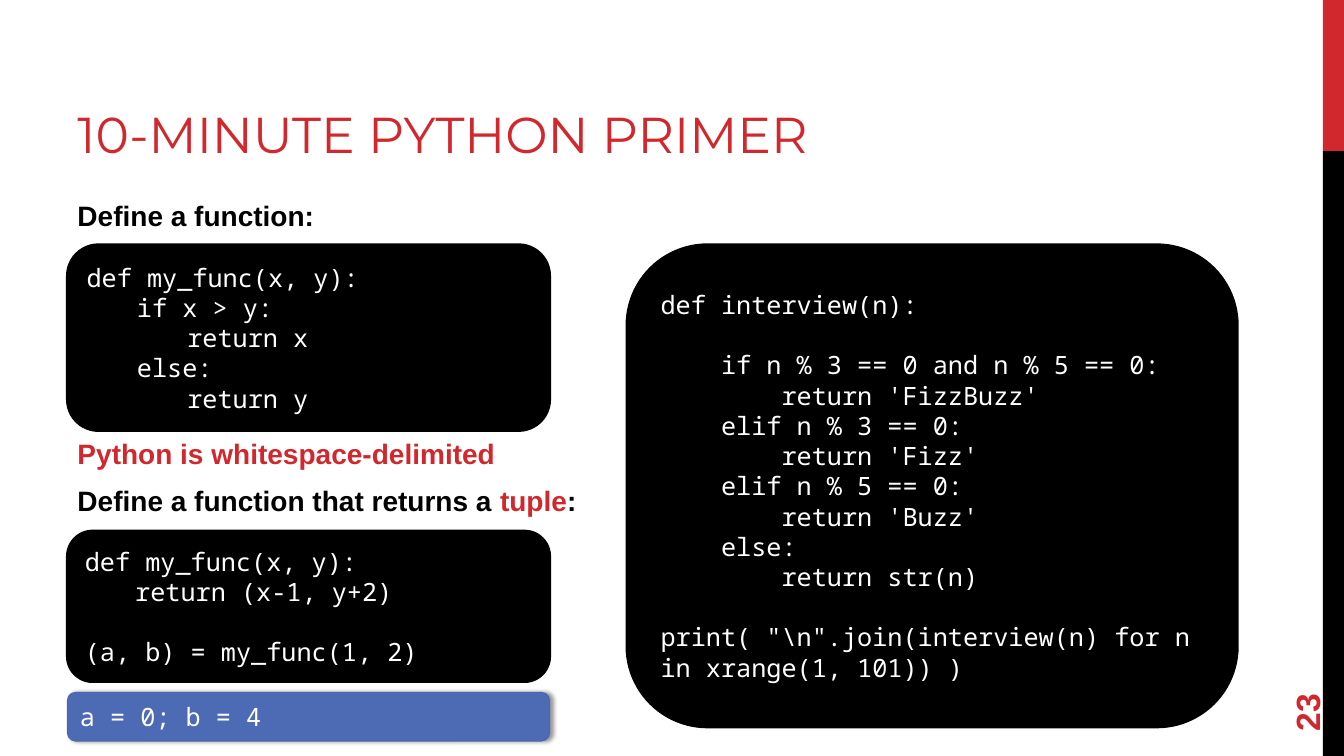
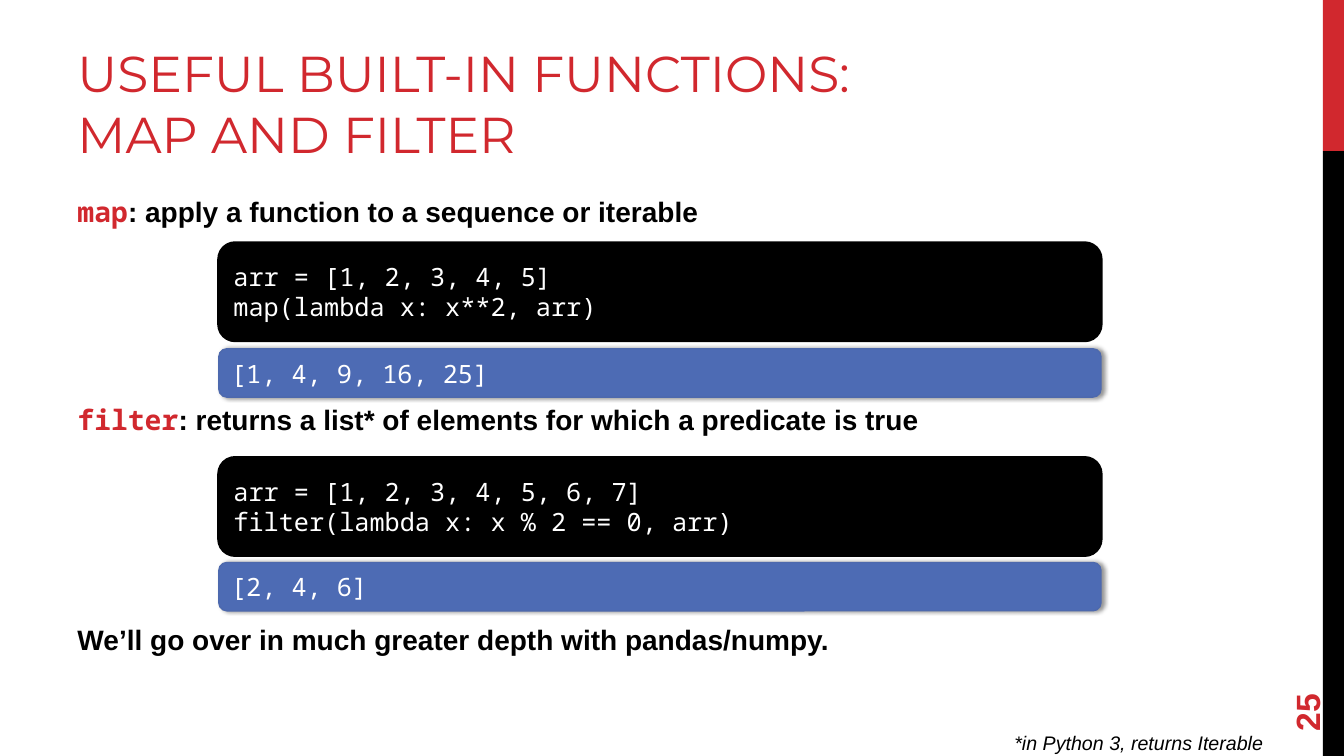
"""Build two Python primer slides with code panels and their output."""
import pptx
import pptx.dml.color
import pptx.enum.shapes
import pptx.enum.text
import pptx.util
from lxml import etree

Pt = pptx.util.Pt
RGBColor = pptx.dml.color.RGBColor
SHAPES = pptx.enum.shapes.MSO_SHAPE
ALIGN = pptx.enum.text.PP_ALIGN
ANCHOR = pptx.enum.text.MSO_ANCHOR

RED = RGBColor(0xD1, 0x28, 0x2E)
BLACK = RGBColor(0, 0, 0)
WHITE = RGBColor(0xFF, 0xFF, 0xFF)
BLUE = RGBColor(0x4D, 0x6B, 0xB4)
BLUE_EDGE = RGBColor(0x4D, 0x69, 0xAD)
SANS, MONO, DISPLAY = "Arial", "Noto Sans Mono", "Montserrat"

EMU_PER_PX = 9144
SLIDE_WIDTH, SLIDE_HEIGHT = 1333, 750
MARGIN, BODY_WIDTH = 67, 1111
BAND_WIDTH, BAND_SPLIT = 21, 150
HEADING_HEIGHT, OUTPUT_HEIGHT = 42, 48
CODE_LINE = 21.5
DRAWING_NS = "http://schemas.openxmlformats.org/drawingml/2006/main"

SLIDES = [
    {
        "title": "10-MINUTE PYTHON PRIMER",
        "number": "23",
        "heading_spacing": 1.0,
        "headings": [
            (192, [("Define a function:", SANS, BLACK)]),
            (428, [("Python is whitespace-delimited", SANS, RED)]),
            (475, [("Define a function that returns a ", SANS, BLACK),
                   ("tuple", SANS, RED), (":", SANS, BLACK)]),
        ],
        "code": [
            ((67, 243, 478, 184), ["def my_func(x, y):", "\tif x > y:", "\t\treturn x",
                                   "\telse:", "\t\treturn y"]),
            ((67, 527, 478, 149), ["def my_func(x, y):", "\treturn (x-1, y+2)", "",
                                   "(a, b) = my_func(1, 2)"]),
            ((622, 243, 605, 478), [
                "def interview(n):",
                "",
                "    if n % 3 == 0 and n % 5 == 0:",
                "        return 'FizzBuzz'",
                "    elif n % 3 == 0:",
                "        return 'Fizz'",
                "    elif n % 5 == 0:",
                "        return 'Buzz'",
                "    else:",
                "        return str(n)",
                "",
                "print( \"\\n\".join(interview(n) for n in xrange(1, 101)) )",
            ]),
        ],
        "output": [((67, 687, 478, OUTPUT_HEIGHT), ["a = 0; b = 4"])],
        "footnote": None,
    },
    {
        "title": "USEFUL BUILT-IN FUNCTIONS: MAP AND FILTER",
        "number": "25",
        "heading_spacing": 0.9,
        "headings": [
            (192, [("map", MONO, RED),
                   (": apply a function to a sequence or iterable", SANS, BLACK)]),
            (398, [("filter", MONO, RED),
                   (": returns a list* of elements for which a predicate is true",
                    SANS, BLACK)]),
            (616, [("We’ll go over in much greater depth with pandas/numpy.",
                    SANS, BLACK)]),
        ],
        "code": [
            ((217, 241, 875, 97), ["arr = [1, 2, 3, 4, 5]", "map(lambda x: x**2, arr)"]),
            ((217, 454, 875, 97), ["arr = [1, 2, 3, 4, 5, 6, 7]",
                                   "filter(lambda x: x % 2 == 0, arr)"]),
        ],
        "output": [
            ((217, 346, 875, OUTPUT_HEIGHT), ["[1, 4, 9, 16, 25]"]),
            ((217, 558, 875, OUTPUT_HEIGHT), ["[2, 4, 6]"]),
        ],
        "footnote": "*in Python 3, returns Iterable",
    },
]


def emu(box):
    return [round(length * EMU_PER_PX) for length in box]


def style(run, font, size, color, bold=False, italic=False):
    run.font.name = font
    run.font.size = Pt(size)
    run.font.color.rgb = color
    run.font.bold = bold
    run.font.italic = italic


def add_text(slide, box, parts, size, anchor=ANCHOR.TOP, bold=False, italic=False):
    shape = slide.shapes.add_textbox(*emu(box))
    shape.text_frame.word_wrap = True
    shape.text_frame.vertical_anchor = anchor
    paragraph = shape.text_frame.paragraphs[0]
    for text, font, color in parts:
        run = paragraph.add_run()
        run.text = text
        style(run, font, size, color, bold, italic)
    return shape


def add_block(slide, kind, box, fill):
    shape = slide.shapes.add_shape(kind, *emu(box))
    shape.shadow.inherit = False
    shape.fill.solid()
    shape.fill.fore_color.rgb = fill
    shape.line.fill.background()
    return shape


def add_panel(slide, box, lines, fill, edge, edge_width):
    shape = add_block(slide, SHAPES.ROUNDED_RECTANGLE, box, fill)
    shape.line.color.rgb = edge
    shape.line.width = Pt(edge_width)
    frame = shape.text_frame
    frame.word_wrap = True
    frame.vertical_anchor = ANCHOR.MIDDLE
    frame.text = "\n".join(line for line in lines if line)
    after_blank = [index > 0 and not lines[index - 1]
                   for index, line in enumerate(lines) if line]
    for paragraph, spaced in zip(frame.paragraphs, after_blank):
        paragraph.alignment = ALIGN.LEFT
        if spaced:
            paragraph.space_before = Pt(CODE_LINE)
        style(paragraph.runs[0], MONO, 18, WHITE)
    return shape


def add_drop_shadow(shape):
    effects = shape._element.spPr.find(f"{{{DRAWING_NS}}}effectLst")
    shadow = etree.SubElement(effects, f"{{{DRAWING_NS}}}outerShdw", blurRad=str(Pt(3.1)),
                              dist=str(Pt(1.8)), dir="0", rotWithShape="0")
    color = etree.SubElement(shadow, f"{{{DRAWING_NS}}}srgbClr", val=str(BLACK))
    etree.SubElement(color, f"{{{DRAWING_NS}}}alpha", val="40000")


def add_frame(slide, title, number):
    band_left = SLIDE_WIDTH - BAND_WIDTH
    for top, bottom, color in ((0, BAND_SPLIT, RED), (BAND_SPLIT, SLIDE_HEIGHT, BLACK)):
        add_block(slide, SHAPES.RECTANGLE, (band_left, top, BAND_WIDTH, bottom - top), color)
    add_text(slide, (MARGIN, 17, 844, 150), [(title, DISPLAY, RED)], 36, ANCHOR.BOTTOM)
    page = add_text(slide, (1224, 637, 144, 53), [(number, SANS, RED)], 24,
                    ANCHOR.MIDDLE, bold=True)
    page.rotation = 270


def add_slide(presentation, content):
    slide = presentation.slides.add_slide(presentation.slide_layouts[6])
    add_frame(slide, content["title"], content["number"])
    for top, parts in content["headings"]:
        heading = add_text(slide, (MARGIN, top, BODY_WIDTH, HEADING_HEIGHT), parts, 20, bold=True)
        heading.text_frame.paragraphs[0].line_spacing = content["heading_spacing"]
    for box, lines in content["code"]:
        add_panel(slide, box, lines, BLACK, BLACK, 2.25)
    for box, lines in content["output"]:
        add_drop_shadow(add_panel(slide, box, lines, BLUE, BLUE_EDGE, 1))
    if content["footnote"]:
        note = add_text(slide, (893, 720, 370, 34), [(content["footnote"], SANS, BLACK)], 14,
                        italic=True)
        note.text_frame.paragraphs[0].alignment = ALIGN.RIGHT


def main():
    presentation = pptx.Presentation()
    presentation.slide_width, presentation.slide_height = emu((SLIDE_WIDTH, SLIDE_HEIGHT))
    for content in SLIDES:
        add_slide(presentation, content)
    presentation.save("out.pptx")


if __name__ == "__main__":
    main()
